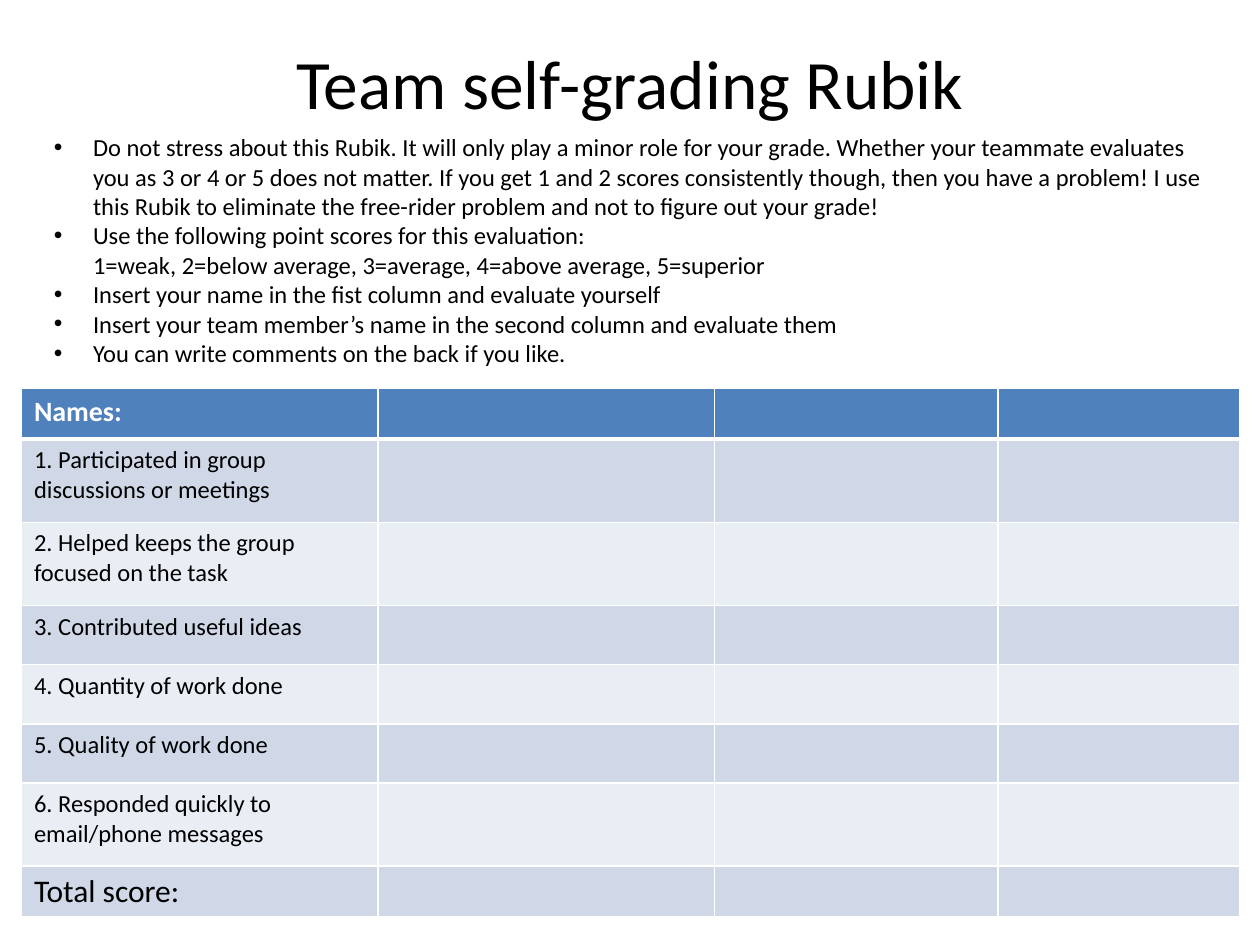
from dataclasses import dataclass

from lxml.etree import SubElement
from pptx import Presentation
from pptx.dml.color import RGBColor
from pptx.enum.text import MSO_ANCHOR, MSO_AUTO_SIZE, PP_ALIGN
from pptx.oxml.ns import qn
from pptx.util import Inches, Pt

WIDTH, HEIGHT = 10, 7.5
FONT = "Calibri"
BLACK, WHITE = "000000", "FFFFFF"
HEADER_BLUE = "4F81BD"
BANDS = ("E9EDF4", "D0D8E8")
COLUMNS = (2.83, 2.67, 2.25, 1.92)
INDENT = 0.31


@dataclass(frozen=True)
class Area:
    left: float
    top: float
    width: float
    height: float

    def lengths(self) -> tuple:
        return tuple(Inches(v) for v in (self.left, self.top, self.width, self.height))


@dataclass(frozen=True)
class Criterion:
    label: str
    height: float
    size: float = 14


TITLE_AREA = Area(0.05 * WIDTH, 0.04 * HEIGHT, 0.9 * WIDTH, 0.7)
ADVICE_AREA = Area(0.33, 1, 9.42, 1.99)
RUBRIC_TOP_LEFT = (0.17, 3.08)

ADVICE = (
    ("Do not stress about this Rubik. It will only play a minor role for your grade. "
     "Whether your teammate evaluates you as 3 or 4 or 5 does not matter. "
     "If you get 1 and 2 scores consistently though, then you have a problem! "
     "I use this Rubik to eliminate the free-rider problem and not to figure out your grade!",),
    ("Use the following point scores for this evaluation:",
     "1=weak, 2=below average, 3=average, 4=above average, 5=superior"),
    ("Insert your name in the fist column and evaluate yourself",),
    ("Insert your team member’s name in the second column and evaluate them",),
    ("You can write comments on the back if you like.",),
)

CRITERIA = (
    Criterion("Names:", 0.4, 16),
    Criterion("1. Participated in group discussions or meetings", 0.66),
    Criterion("2. Helped keeps the group focused on the task", 0.66),
    Criterion("3. Contributed useful ideas", 0.47),
    Criterion("4. Quantity of work done", 0.47),
    Criterion("5. Quality of work done", 0.47),
    Criterion("6. Responded quickly to email/phone messages", 0.66),
    Criterion("Total score:", 0.4, 18),
)


def color(value: str) -> RGBColor:
    return RGBColor.from_string(value)


def add_run(paragraph, text: str, size: float, ink: str = BLACK, bold: bool = False) -> None:
    run = paragraph.add_run()
    run.text = text
    run.font.name = FONT
    run.font.size = Pt(size)
    run.font.bold = bold
    run.font.color.rgb = color(ink)


def add_bullet(paragraph) -> None:
    properties = paragraph._p.get_or_add_pPr()
    properties.set("marL", str(Inches(INDENT)))
    properties.set("indent", str(-Inches(INDENT)))
    SubElement(properties, qn("a:buFont"), typeface="Arial")
    SubElement(properties, qn("a:buChar"), char="•")


def add_borders(cell, bottom: float) -> None:
    properties = cell._tc.get_or_add_tcPr()
    for side, points in (("L", 1), ("R", 1), ("T", 1), ("B", bottom)):
        line = SubElement(properties, qn(f"a:ln{side}"), w=str(Pt(points)))
        fill = SubElement(line, qn("a:solidFill"))
        SubElement(fill, qn("a:srgbClr"), val=WHITE)


def draw_title(slide) -> None:
    heading = slide.shapes.title
    heading.left, heading.top, heading.width, heading.height = TITLE_AREA.lengths()
    frame = heading.text_frame
    frame.auto_size = MSO_AUTO_SIZE.NONE
    frame.vertical_anchor = MSO_ANCHOR.MIDDLE
    frame.paragraphs[0].alignment = PP_ALIGN.CENTER
    add_run(frame.paragraphs[0], "Team self-grading Rubik", 39.6)


def draw_advice(slide) -> None:
    frame = slide.shapes.add_textbox(*ADVICE_AREA.lengths()).text_frame
    frame.word_wrap = True
    frame.auto_size = MSO_AUTO_SIZE.SHAPE_TO_FIT_TEXT
    for index, lines in enumerate(ADVICE):
        paragraph = frame.add_paragraph() if index else frame.paragraphs[0]
        add_bullet(paragraph)
        for position, line in enumerate(lines):
            if position:
                paragraph.add_line_break()
            add_run(paragraph, line, 14)


def draw_rubric(slide) -> None:
    area = Area(*RUBRIC_TOP_LEFT, sum(COLUMNS), sum(c.height for c in CRITERIA))
    rubric = slide.shapes.add_table(len(CRITERIA), len(COLUMNS), *area.lengths()).table
    for column, width in zip(rubric.columns, COLUMNS):
        column.width = Inches(width)
    for index, (row, criterion) in enumerate(zip(rubric.rows, CRITERIA)):
        header = index == 0
        row.height = Inches(criterion.height)
        for cell in row.cells:
            add_borders(cell, 3 if header else 1)
            cell.fill.solid()
            cell.fill.fore_color.rgb = color(HEADER_BLUE if header else BANDS[index % 2])
        label = rubric.cell(index, 0).text_frame.paragraphs[0]
        add_run(label, criterion.label, criterion.size, WHITE if header else BLACK, header)


def main() -> None:
    deck = Presentation()
    deck.slide_width, deck.slide_height = Inches(WIDTH), Inches(HEIGHT)
    slide = deck.slides.add_slide(deck.slide_layouts[5])
    draw_title(slide)
    draw_rubric(slide)
    draw_advice(slide)
    deck.save("out.pptx")


if __name__ == "__main__":
    main()
